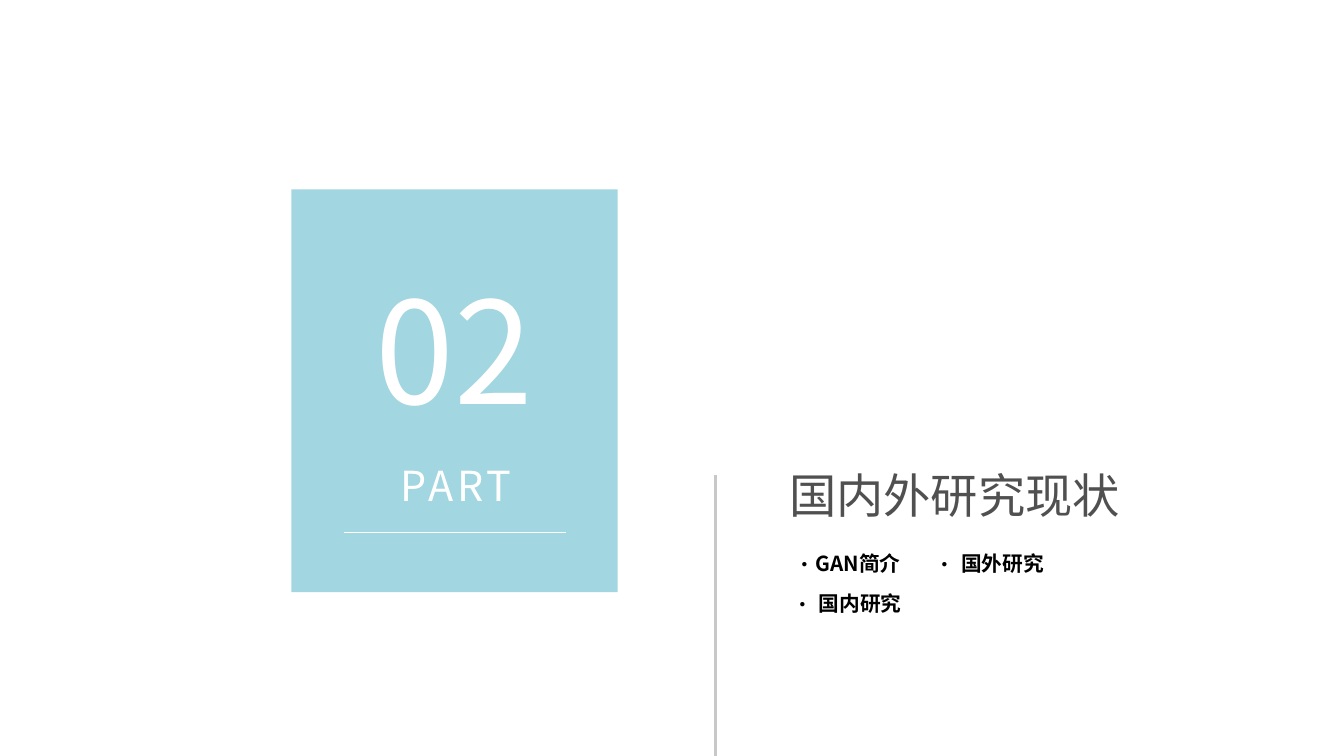
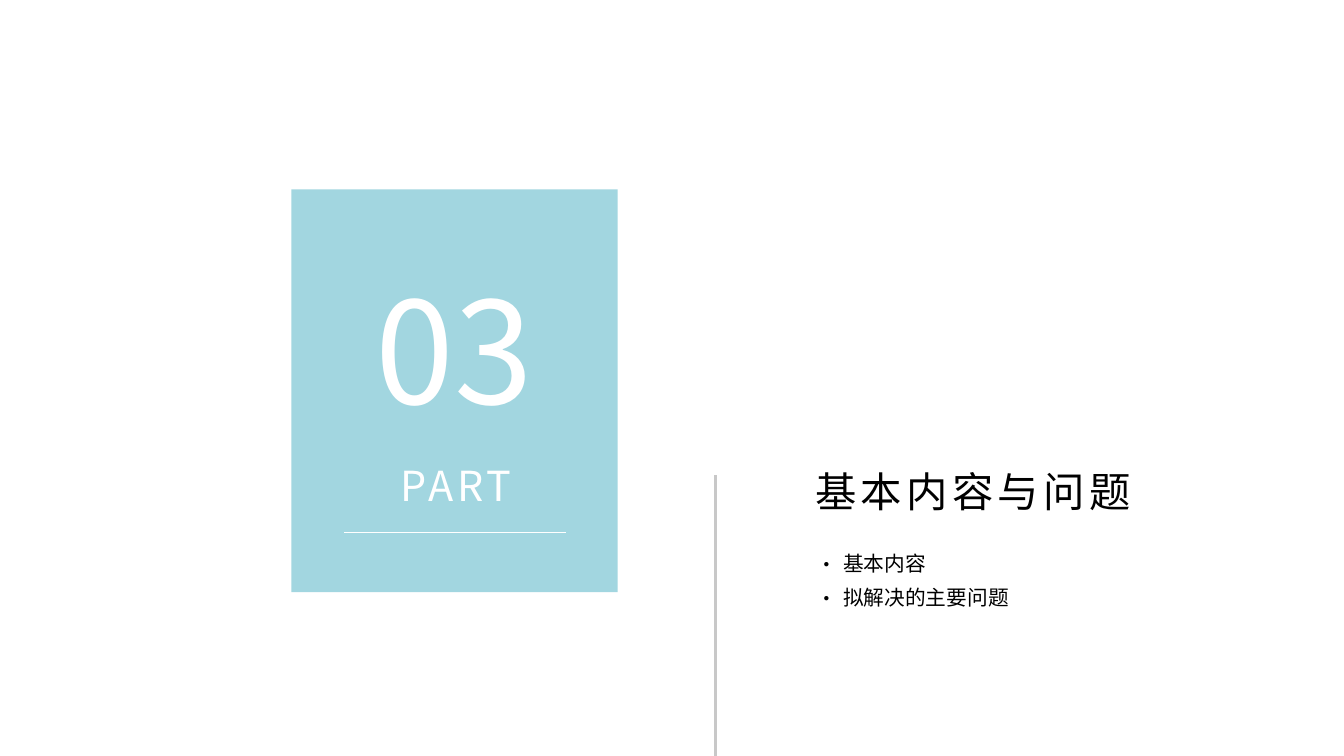
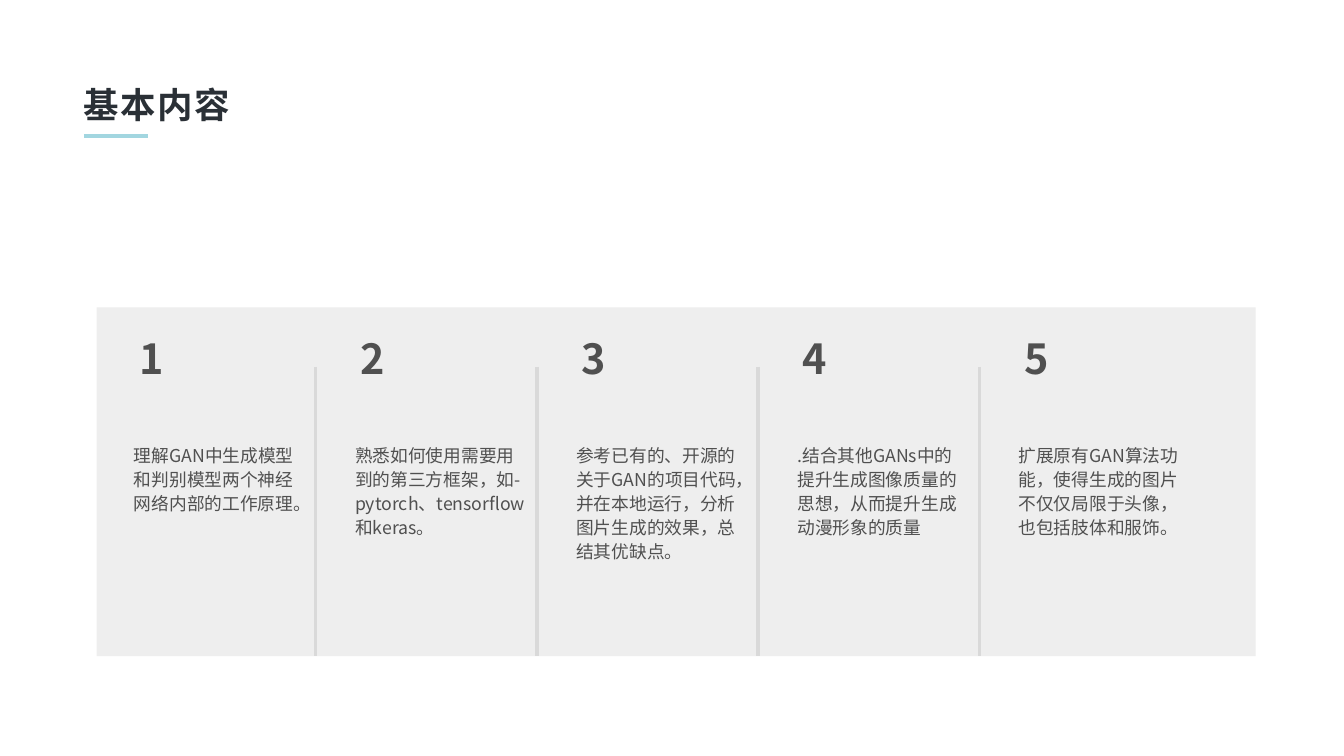
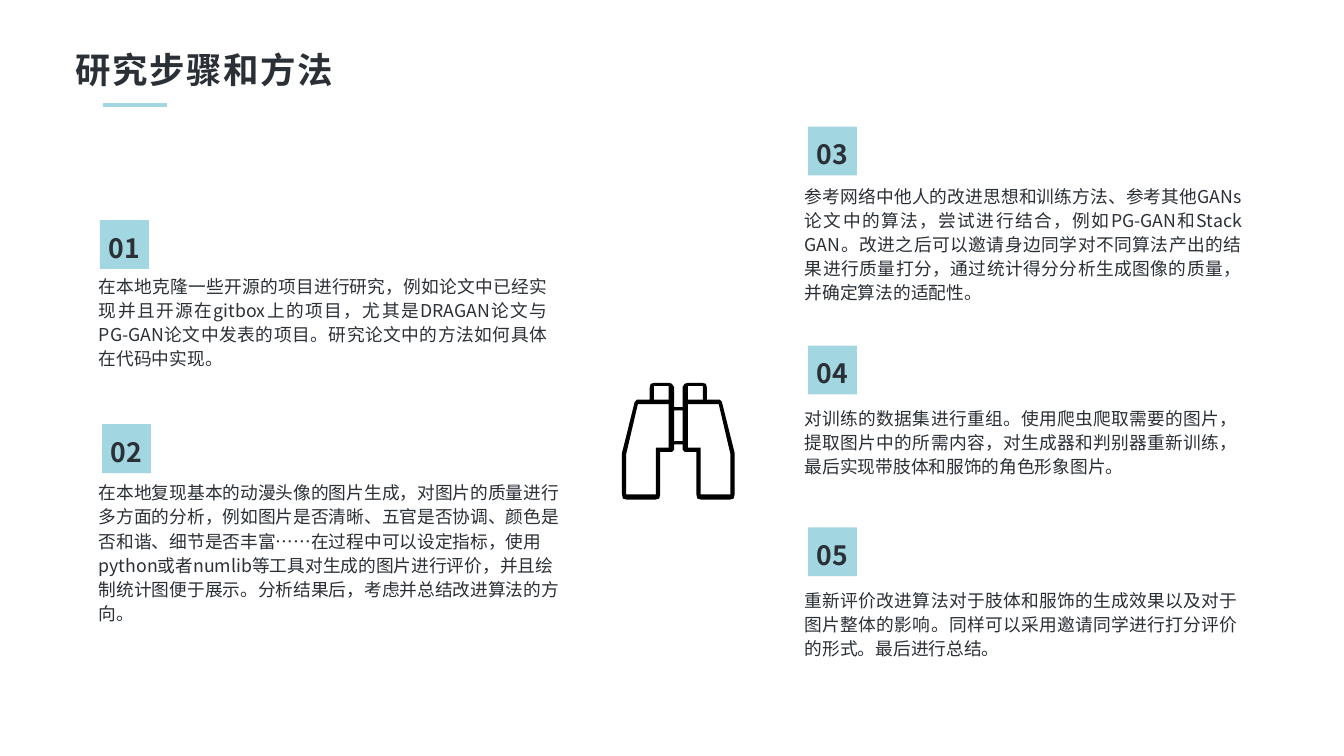
from dataclasses import dataclass

from lxml import etree
from pptx import Presentation
from pptx.dml.color import RGBColor
from pptx.enum.shapes import MSO_CONNECTOR, MSO_SHAPE
from pptx.enum.text import MSO_ANCHOR, MSO_AUTO_SIZE, PP_ALIGN
from pptx.oxml.ns import qn
from pptx.util import Pt

PX = 9144
RECTANGLE = MSO_SHAPE.RECTANGLE
STRAIGHT = MSO_CONNECTOR.STRAIGHT
MIDDLE = MSO_ANCHOR.MIDDLE
GROW = MSO_AUTO_SIZE.SHAPE_TO_FIT_TEXT
LEFT, CENTER, JUSTIFY = PP_ALIGN.LEFT, PP_ALIGN.CENTER, PP_ALIGN.JUSTIFY


@dataclass(frozen=True)
class Theme:
    font: str = "Noto Sans CJK SC"
    aqua: str = "A2D6E0"
    ink: str = "2A3036"
    gray: str = "505050"
    rule: str = "C8C8C8"
    divider: str = "D9D9D9"
    panel: str = "EEEEEE"
    black: str = "000000"
    white: str = "FFFFFF"
    part_number: int = 96
    heading: int = 32
    large: int = 28
    title: int = 24
    badge: int = 18
    item: int = 14
    body: int = 12
    leading: float = 1.13


THEME = Theme()


def write(frame, text, *, size, color, bold=False, align=LEFT, spacing=0, bullet_indent=0):
    frame.word_wrap = True
    frame.margin_left = frame.margin_right = 3 * PX
    frame.margin_top = frame.margin_bottom = PX
    paragraph = frame.paragraphs[0]
    paragraph.alignment = align
    paragraph.line_spacing = THEME.leading
    if bullet_indent:
        properties = paragraph._p.get_or_add_pPr()
        properties.set("marL", str(bullet_indent * PX))
        properties.set("indent", str(-bullet_indent * PX))
        etree.SubElement(properties, qn("a:buFont")).set("typeface", THEME.font)
        etree.SubElement(properties, qn("a:buChar")).set("char", "·")
    run = paragraph.add_run()
    run.text = text
    run.font.size = Pt(size)
    run.font.bold = bold
    run.font.color.rgb = RGBColor.from_string(color)
    run.font.name = THEME.font
    character = run._r.get_or_add_rPr()
    etree.SubElement(character, qn("a:ea")).set("typeface", THEME.font)
    if spacing:
        character.set("spc", str(int(spacing * 100)))


class Deck:
    def __init__(self, width, height):
        self.presentation = Presentation()
        self.presentation.slide_width = width * PX
        self.presentation.slide_height = height * PX
        self.slide = None

    def new_slide(self):
        self.slide = self.presentation.slides.add_slide(self.presentation.slide_layouts[6])

    def text(self, text, x, y, width, height, **style):
        box = self.slide.shapes.add_textbox(x * PX, y * PX, width * PX, height * PX)
        write(box.text_frame, text, **style)
        box.text_frame.auto_size = GROW

    def paint(self, shape, color):
        shape.shadow.inherit = False
        shape.fill.solid()
        shape.fill.fore_color.rgb = RGBColor.from_string(color)
        shape.line.fill.background()

    def block(self, x, y, width, height, color):
        block = self.slide.shapes.add_shape(RECTANGLE, x * PX, y * PX, width * PX, height * PX)
        self.paint(block, color)
        return block

    def line(self, x1, y1, x2, y2, color, weight):
        line = self.slide.shapes.add_connector(STRAIGHT, x1 * PX, y1 * PX, x2 * PX, y2 * PX)
        line.line.color.rgb = RGBColor.from_string(color)
        line.line.width = Pt(weight)
        etree.SubElement(line._element.spPr, qn("a:effectLst"))

    def outline(self, contours, color):
        first, *others = contours
        builder = self.slide.shapes.build_freeform(*first[0], scale=PX)
        builder.add_line_segments(first[1:], close=True)
        for contour in others:
            builder.move_to(*contour[0])
            builder.add_line_segments(contour[1:], close=True)
        self.paint(builder.convert_to_shape(), color)

    def section(self, number):
        self.new_slide()
        self.block(274, 178, 307, 379, THEME.aqua)
        self.text(number, 288, 225, 278, 190,
                  size=THEME.part_number, color=THEME.white, align=CENTER)
        self.text("PART", 235, 426, 388, 57,
                  size=THEME.large, color=THEME.white, align=CENTER, spacing=2.5)
        self.line(324, 501, 532, 501, THEME.white, 1)
        self.line(673, 447, 673, 711, THEME.rule, 1.5)

    def item(self, text, x, y, width, bold=False, indent=25):
        self.text(text, x, y, width, 28, size=THEME.item, color=THEME.black,
                  bold=bold, bullet_indent=indent)

    def title(self, text, x, y, width, rule_x, rule_y):
        self.text(text, x, y, width, 46, size=THEME.title, color=THEME.ink,
                  bold=True, align=CENTER, spacing=1)
        self.line(rule_x, rule_y, rule_x + 60, rule_y, THEME.aqua, 2.5)

    def badge(self, number, x, y):
        badge = self.block(x, y, 46, 46, THEME.aqua)
        frame = badge.text_frame
        write(frame, number, size=THEME.badge, color=THEME.ink, bold=True, align=CENTER)
        frame.vertical_anchor = MIDDLE
        frame.margin_top = 3 * PX

    def binoculars(self):
        def mirror(points):
            return [(1276 - x, y) for x, y in reversed(points)]

        left_edge = [
            (634, 383), (634, 364), (632, 361), (629, 360), (616, 360), (612, 361),
            (611, 365), (611, 376), (599, 376), (597, 378), (585, 426), (585, 465),
            (586, 469), (590, 470), (616, 470), (620, 469), (621, 465), (621, 425),
            (632, 425), (634, 423), (634, 418),
        ]
        barrel = [(629, 421), (617, 421), (617, 465), (589, 465),
                  (589, 427), (600, 380), (629, 380)]
        eyepiece = [(629, 376), (615, 376), (615, 363), (629, 363)]
        bridge = [(642, 415), (634, 415), (634, 386), (642, 386)]
        self.outline([left_edge + mirror(left_edge), barrel, mirror(barrel),
                      eyepiece, mirror(eyepiece), bridge], THEME.black)


def research_status(deck):
    deck.section("02")
    deck.text("国内外研究现状", 725, 431, 346, 60,
              size=THEME.heading, color=THEME.gray, align=CENTER)
    deck.item("GAN简介", 744, 514, 130, bold=True, indent=20)
    deck.item("国外研究", 876, 514, 130, bold=True)
    deck.item("国内研究", 742, 552, 130, bold=True)


def content_and_problems(deck):
    deck.section("03")
    deck.text("基本内容与问题", 742, 431, 346, 53,
              size=THEME.large, color=THEME.black, align=CENTER, spacing=3)
    for row, topic in enumerate(["基本内容", "拟解决的主要问题"]):
        deck.item(topic, 765, 514 + 32 * row, 206)


def basic_content(deck):
    tasks = [
        "理解GAN中生成模型和判别模型两个神经网络内部的工作原理。",
        "熟悉如何使用需要用到的第三方框架，如-pytorch、tensorflow和keras。",
        "参考已有的、开源的关于GAN的项目代码，并在本地运行，分析图片生成的效果，总结其优缺点。",
        ".结合其他GANs中的提升生成图像质量的思想，从而提升生成动漫形象的质量",
        "扩展原有GAN算法功能，使得生成的图片不仅仅局限于头像，也包括肢体和服饰。",
    ]
    pitch = 208
    deck.new_slide()
    deck.title("基本内容", 46, 72, 203, 79, 128)
    deck.block(91, 289, 1090, 328, THEME.panel)
    for column, task in enumerate(tasks):
        offset = column * pitch
        deck.text(str(column + 1), 83 + offset, 306, 119, 53,
                  size=THEME.large, color=THEME.gray, bold=True, align=CENTER)
        deck.text(task, 123 + offset, 415, 168, 93, size=THEME.body, color=THEME.gray)
        if column:
            divider_x = 89 + offset
            deck.line(divider_x, 345, divider_x, 617, THEME.divider, 2.25)


def steps_and_methods(deck):
    steps = [
        ((94, 207), (90, 256, 428, 93), JUSTIFY,
         "在本地克隆一些开源的项目进行研究，例如论文中已经实现并且开源在gitbox上的项目，"
         "尤其是DRAGAN论文与PG-GAN论文中发表的项目。研究论文中的方法如何具体在代码中实现。"),
        ((96, 399), (90, 450, 447, 116), LEFT,
         "在本地复现基本的动漫头像的图片生成，对图片的质量进行多方面的分析，"
         "例如图片是否清晰、五官是否协调、颜色是否和谐、细节是否丰富……在过程中可以设定指标，"
         "使用python或者numlib等工具对生成的图片进行评价，并且绘制统计图便于展示。"
         "分析结果后，考虑并总结改进算法的方向。"),
        ((760, 119), (754, 171, 417, 116), JUSTIFY,
         "参考网络中他人的改进思想和训练方法、参考其他GANs论文中的算法，尝试进行结合，"
         "例如PG-GAN和Stack GAN。改进之后可以邀请身边同学对不同算法产出的结果进行质量打分，"
         "通过统计得分分析生成图像的质量，并确定算法的适配性。"),
        ((760, 325), (754, 380, 413, 70), JUSTIFY,
         "对训练的数据集进行重组。使用爬虫爬取需要的图片，提取图片中的所需内容，"
         "对生成器和判别器重新训练，最后实现带肢体和服饰的角色形象图片。"),
        ((760, 496), (754, 551, 413, 70), JUSTIFY,
         "重新评价改进算法对于肢体和服饰的生成效果以及对于图片整体的影响。"
         "同样可以采用邀请同学进行打分评价的形式。最后进行总结。"),
    ]
    deck.new_slide()
    deck.title("研究步骤和方法", 61, 39, 262, 97, 99)
    for number, (corner, area, align, description) in enumerate(steps, 1):
        deck.badge(f"{number:02}", *corner)
        deck.text(description, *area, size=THEME.body, color=THEME.ink, align=align)
    deck.binoculars()


def main():
    deck = Deck(1264, 711)
    research_status(deck)
    content_and_problems(deck)
    basic_content(deck)
    steps_and_methods(deck)
    deck.presentation.save("out.pptx")


if __name__ == "__main__":
    main()
